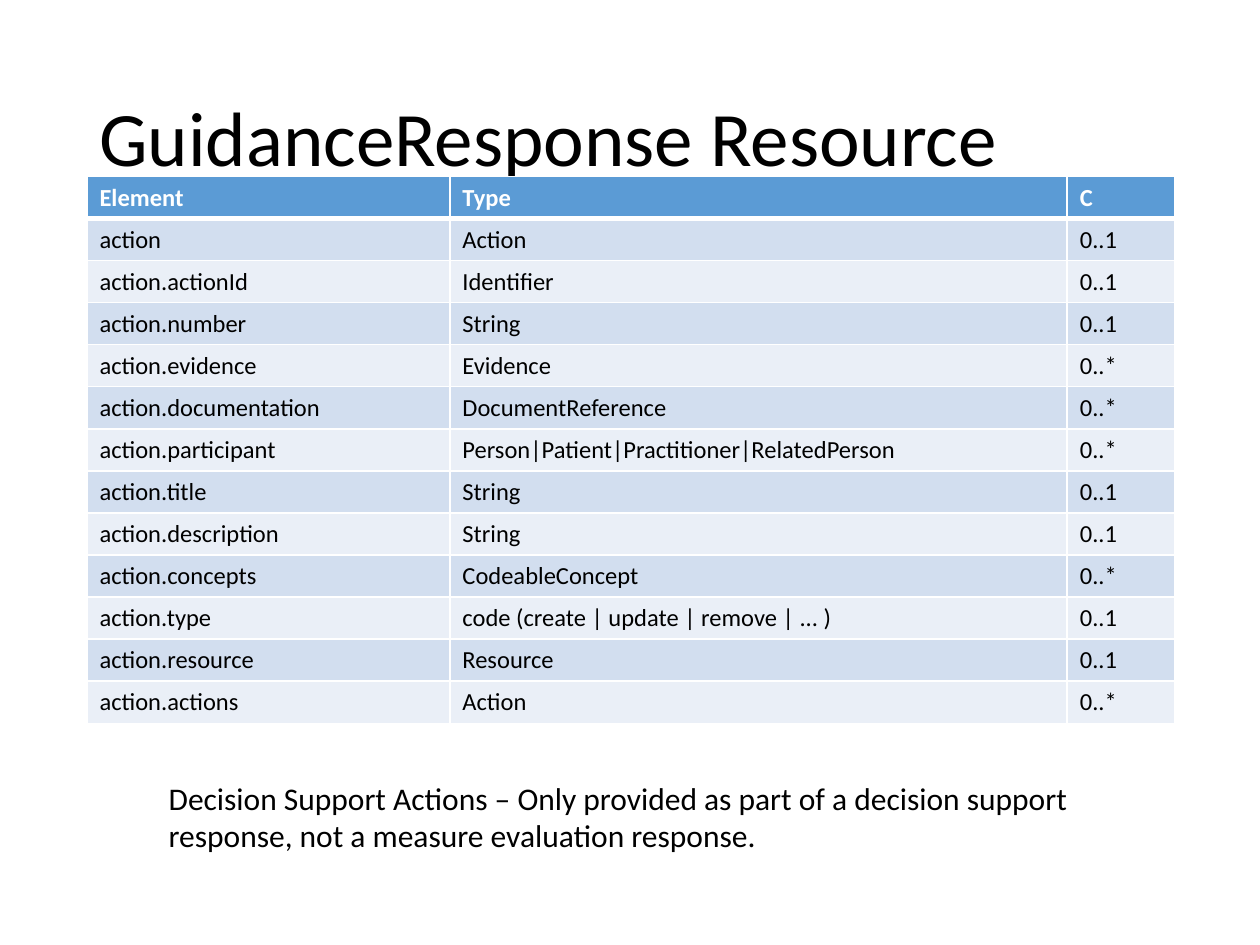
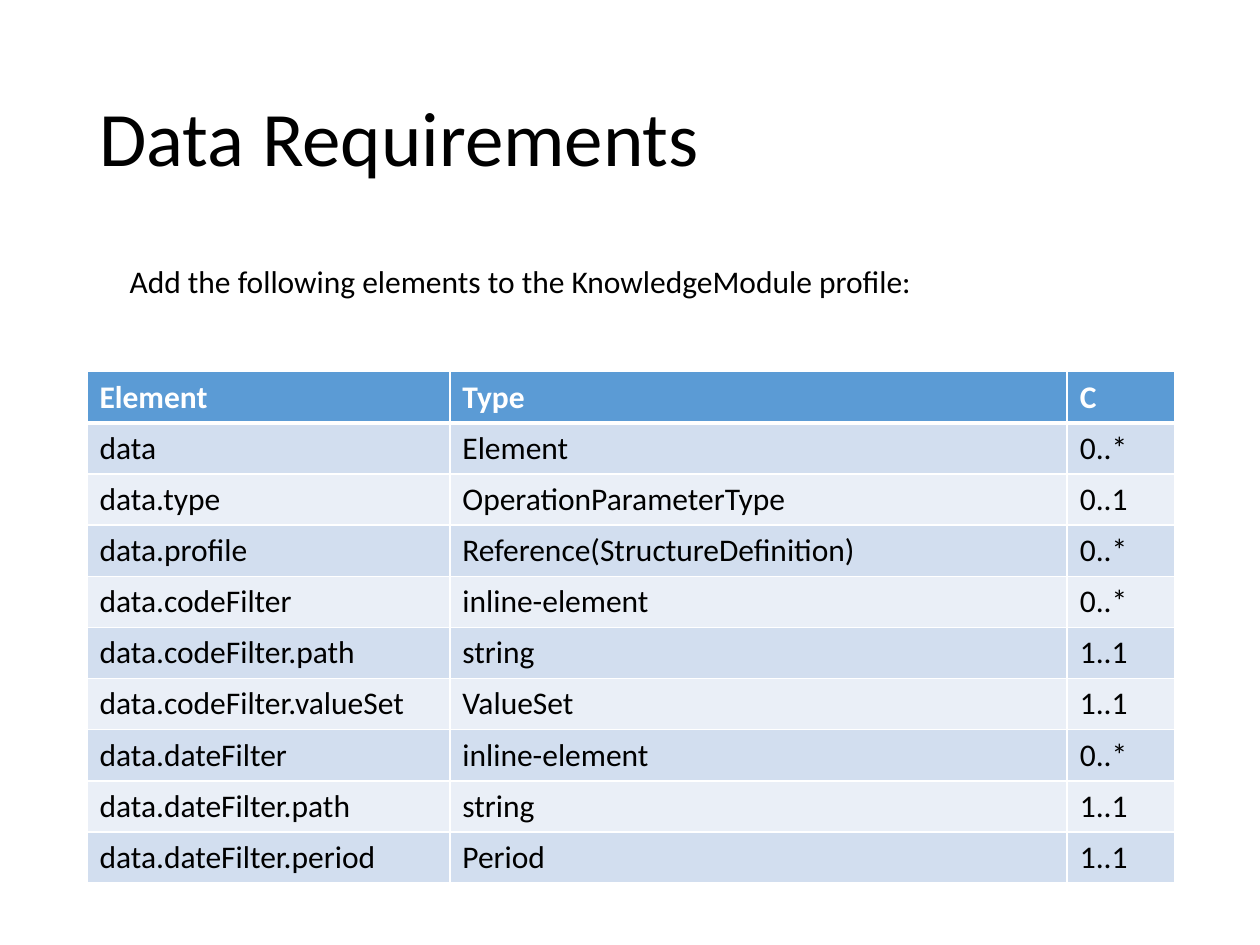
"""Build two slides that list resource elements in tables."""
from dataclasses import dataclass

from lxml.etree import SubElement
from pptx import Presentation
from pptx.dml.color import RGBColor
from pptx.enum.text import MSO_ANCHOR, MSO_AUTO_SIZE
from pptx.oxml.ns import qn
from pptx.slide import Slide
from pptx.table import _Cell
from pptx.text.text import _Paragraph
from pptx.util import Emu, Pt

PX = 9144
FONT = "Calibri"
COLORS = {
    "text": "000000",
    "white": "FFFFFF",
    "header": "5B9BD5",
    "band_dark": "D2DEEF",
    "band_light": "EAEFF7",
}
HEADERS = ("Element", "Type", "C")
COLUMN_WIDTHS = (288, 490, 85)
THIN, THICK = Pt(1), Pt(3)
TITLE_FRAME = {"word_wrap": True, "vertical_anchor": MSO_ANCHOR.MIDDLE}
NOTE_FRAME = {"word_wrap": True, "auto_size": MSO_AUTO_SIZE.SHAPE_TO_FIT_TEXT}


@dataclass(frozen=True)
class Box:
    """Position and size in px."""
    left: int
    top: int
    width: int
    height: int

    def emu(self) -> tuple[Emu, ...]:
        """Return the four lengths in EMU."""
        return tuple(Emu(v * PX) for v in (self.left, self.top, self.width, self.height))


@dataclass(frozen=True)
class ElementSlide:
    """A title, a table of elements and a note."""
    title: str
    table_box: Box
    table_size: int
    rows: tuple[tuple[str, str, str], ...]
    note: str
    note_box: Box
    note_frame: dict


TITLE_BOX = Box(69, 40, 862, 145)

SLIDES = (
    ElementSlide(
        title="GuidanceResponse Resource",
        table_box=Box(69, 140, 862, 433),
        table_size=14,
        rows=(
            ("action", "Action", "0..1"),
            ("action.actionId", "Identifier", "0..1"),
            ("action.number", "String", "0..1"),
            ("action.evidence", "Evidence", "0..*"),
            ("action.documentation", "DocumentReference", "0..*"),
            ("action.participant", "Person|Patient|Practitioner|RelatedPerson", "0..*"),
            ("action.title", "String", "0..1"),
            ("action.description", "String", "0..1"),
            ("action.concepts", "CodeableConcept", "0..*"),
            ("action.type", "code (create | update | remove | ... )", "0..1"),
            ("action.resource", "Resource", "0..1"),
            ("action.actions", "Action", "0..*"),
        ),
        note="Decision Support Actions – Only provided as part of a decision support "
             "response, not a measure evaluation response.",
        note_box=Box(124, 613, 752, 71),
        note_frame=NOTE_FRAME,
    ),
    ElementSlide(
        title="Data Requirements",
        table_box=Box(69, 295, 862, 406),
        table_size=18,
        rows=(
            ("data", "Element", "0..*"),
            ("data.type", "OperationParameterType", "0..1"),
            ("data.profile", "Reference(StructureDefinition)", "0..*"),
            ("data.codeFilter", "inline-element", "0..*"),
            ("data.codeFilter.path", "string", "1..1"),
            ("data.codeFilter.valueSet", "ValueSet", "1..1"),
            ("data.dateFilter", "inline-element", "0..*"),
            ("data.dateFilter.path", "string", "1..1"),
            ("data.dateFilter.period", "Period", "1..1"),
        ),
        note="Add the following elements to the KnowledgeModule profile:",
        note_box=Box(93, 203, 649, 40),
        note_frame=NOTE_FRAME | {"word_wrap": False},
    ),
)


def apply(target: object, values: dict) -> None:
    """Set each named attribute on the target."""
    for name, value in values.items():
        setattr(target, name, value)


def write(p: _Paragraph, text: str, size: int, color: str = "text", bold: bool = False) -> None:
    """Add one formatted run to a paragraph."""
    r = p.add_run()
    r.text = text
    apply(r.font, {"name": FONT, "size": Pt(size), "bold": bold})
    r.font.color.rgb = RGBColor.from_string(COLORS[color])


def add_text(s: Slide, box: Box, text: str, size: int, frame: dict,
             line_spacing: float = 1.0) -> None:
    """Add a text box with one paragraph."""
    tf = s.shapes.add_textbox(*box.emu()).text_frame
    apply(tf, frame)
    p = tf.paragraphs[0]
    p.line_spacing = line_spacing
    write(p, text, size)


def set_borders(cell: _Cell, top: int, bottom: int) -> None:
    """Draw white borders around a cell."""
    tc_pr = cell._tc.get_or_add_tcPr()
    for side, width in {"L": THIN, "R": THIN, "T": top, "B": bottom}.items():
        ln = SubElement(tc_pr, qn(f"a:ln{side}"), w=str(width))
        fill = SubElement(ln, qn("a:solidFill"))
        SubElement(fill, qn("a:srgbClr"), val=COLORS["white"])


def add_element_table(s: Slide, spec_: ElementSlide) -> None:
    """Add the banded table of elements."""
    rows = (HEADERS, *spec_.rows)
    table = s.shapes.add_table(len(rows), len(HEADERS), *spec_.table_box.emu()).table
    for column, width in zip(table.columns, COLUMN_WIDTHS):
        column.width = Emu(width * PX)
    for i, row in enumerate(rows):
        is_header = i == 0
        band = "header" if is_header else "band_dark" if i % 2 else "band_light"
        for j, text in enumerate(row):
            cell = table.cell(i, j)
            set_borders(cell, THICK if i == 1 else THIN, THICK if is_header else THIN)
            cell.fill.solid()
            cell.fill.fore_color.rgb = RGBColor.from_string(COLORS[band])
            write(cell.text_frame.paragraphs[0], text, spec_.table_size,
                  "white" if is_header else "text", is_header)


def main() -> None:
    """Build and save the presentation."""
    prs = Presentation()
    apply(prs, {"slide_width": Emu(1000 * PX), "slide_height": Emu(750 * PX)})
    for item in SLIDES:
        s = prs.slides.add_slide(prs.slide_layouts[6])
        add_text(s, TITLE_BOX, item.title, 44, TITLE_FRAME, 0.9)
        add_element_table(s, item)
        add_text(s, item.note_box, item.note, 18, item.note_frame)
    prs.save("out.pptx")


if __name__ == "__main__":
    main()
